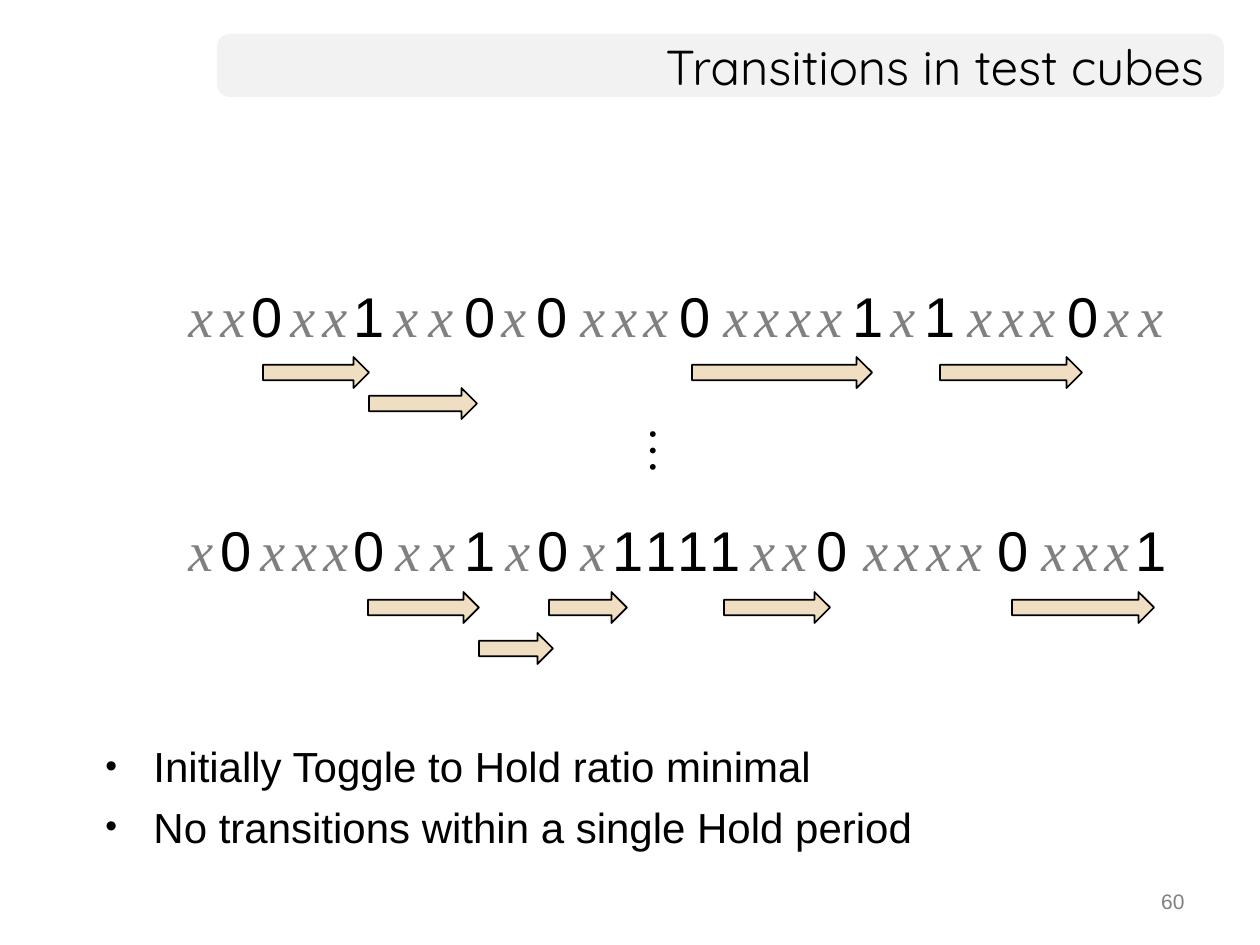
from dataclasses import dataclass

from lxml.etree import SubElement
from pptx import Presentation
from pptx.dml.color import RGBColor
from pptx.enum.shapes import MSO_SHAPE
from pptx.enum.text import MSO_ANCHOR, MSO_AUTO_SIZE, PP_ALIGN
from pptx.oxml.ns import qn
from pptx.util import Emu, Pt

SCALE = 914400 / 126


@dataclass(frozen=True)
class Theme:
    ink: RGBColor = RGBColor(0x00, 0x00, 0x00)
    muted: RGBColor = RGBColor(0x80, 0x80, 0x80)
    band: RGBColor = RGBColor(0xF2, 0xF2, 0xF2)
    arrow: RGBColor = RGBColor(0xEF, 0xDE, 0xC2)
    title_size: int = 28
    symbol_size: int = 32
    bullet_size: int = 24
    number_size: int = 12
    body_font: str = "Arial"
    title_font: str = "Quicksand"
    symbol_font: str = "Times New Roman"


THEME = Theme()

TITLE = "Transitions in test cubes"
PAGE_NUMBER = "60"
BULLETS = [
    "Initially Toggle to Hold ratio minimal",
    "No transitions within a single Hold period",
]
CUBES = [
    {
        "symbols": "xx0xx1xx0x0xxx0xxxx1x1xxx0xx",
        "lefts": [176, 208, 239, 278, 310, 341, 381, 416, 452, 489, 524, 568, 600, 631,
                  667, 711, 742, 774, 805, 840, 878, 912, 955, 987, 1018, 1055, 1092, 1126],
        "top": 275,
        "arrows": [(263, 357, 106), (369, 388, 108), (692, 357, 180), (940, 357, 142)],
    },
    {
        "symbols": "x0xxx0xx1x0x1111xx0xxxx0xxx1",
        "lefts": [176, 208, 248, 280, 311, 341, 383, 418, 452, 493, 525, 568, 600, 633,
                  665, 697, 738, 770, 804, 851, 882, 914, 945, 985, 1029, 1061, 1092, 1123],
        "top": 509,
        "arrows": [(368, 592, 111), (479, 633, 74), (549, 592, 78), (724, 592, 106),
                   (1012, 592, 142)],
    },
]
ARROW_HEIGHT = 31
SYMBOL_HEIGHT = 81
DIGIT_WIDTH = 54
FREE_WIDTH = 38

DIGIT_FORMAT = {"name": THEME.body_font, "size": Pt(THEME.symbol_size)}
FREE_FORMAT = {"name": THEME.symbol_font, "size": Pt(THEME.symbol_size), "italic": True}
TITLE_FORMAT = {"name": THEME.title_font, "size": Pt(THEME.title_size)}
ELLIPSIS_FORMAT = {"name": THEME.symbol_font, "size": Pt(THEME.title_size)}
NUMBER_FORMAT = {"name": THEME.body_font, "size": Pt(THEME.number_size)}
BULLET_FORMAT = {"name": THEME.body_font, "size": Pt(THEME.bullet_size)}


def px(value):
    return Emu(round(value * SCALE))


def apply_format(target, values):
    for name, value in values.items():
        setattr(target, name, value)


def add_text(shapes, box, lines, font_format, color=THEME.ink, wrap=True,
             align=PP_ALIGN.LEFT, anchor=MSO_ANCHOR.TOP, grow=False):
    text_box = shapes.add_textbox(*map(px, box))
    frame = text_box.text_frame
    apply_format(frame, {
        "word_wrap": wrap,
        "vertical_anchor": anchor,
        "auto_size": MSO_AUTO_SIZE.SHAPE_TO_FIT_TEXT if grow else MSO_AUTO_SIZE.NONE,
    })
    frame.text = "\n".join(lines)
    for paragraph in frame.paragraphs:
        paragraph.alignment = align
        for run in paragraph.runs:
            apply_format(run.font, font_format)
            run.font.color.rgb = color
    return text_box


def add_filled_shape(shapes, preset, box, fill, line=None):
    shape = shapes.add_shape(preset, *map(px, box))
    shape.shadow.inherit = False
    shape.fill.solid()
    shape.fill.fore_color.rgb = fill
    if line is None:
        shape.line.fill.background()
    else:
        shape.line.color.rgb = line
        shape.line.width = Pt(1)
    return shape


def add_cube(slide, cube):
    for left, top, width in cube["arrows"]:
        add_filled_shape(slide.shapes, MSO_SHAPE.RIGHT_ARROW,
                         (left, top, width, ARROW_HEIGHT), THEME.arrow, THEME.ink)
    group = slide.shapes.add_group_shape()
    for symbol, left in zip(cube["symbols"], cube["lefts"]):
        free = symbol == "x"
        width = FREE_WIDTH if free else DIGIT_WIDTH
        add_text(group.shapes, (left, cube["top"], width, SYMBOL_HEIGHT), [symbol],
                 FREE_FORMAT if free else DIGIT_FORMAT,
                 THEME.muted if free else THEME.ink, wrap=free, grow=True)


def add_bullets(slide):
    text_box = add_text(slide.shapes, (93, 734, 989, 142), BULLETS, BULLET_FORMAT)
    for index, paragraph in enumerate(text_box.text_frame.paragraphs):
        properties = paragraph._p.get_or_add_pPr()
        properties.set("marL", str(px(48)))
        properties.set("indent", str(px(-48)))
        SubElement(properties, qn("a:buSzPct"), val="80000")
        SubElement(properties, qn("a:buFont"), typeface=THEME.body_font)
        SubElement(properties, qn("a:buChar"), char="•")
        if index:
            paragraph.space_before = Pt(6)


def main():
    presentation = Presentation()
    presentation.slide_width = px(1260)
    presentation.slide_height = px(945)
    slide = presentation.slides.add_slide(presentation.slide_layouts[6])

    band = add_filled_shape(slide.shapes, MSO_SHAPE.ROUNDED_RECTANGLE,
                            (217, 34, 1007, 63), THEME.band)
    band.adjustments[0] = 0.21
    add_text(slide.shapes, (217, 34, 999, 63), [TITLE], TITLE_FORMAT,
             align=PP_ALIGN.RIGHT, anchor=MSO_ANCHOR.MIDDLE)
    add_text(slide.shapes, (903, 882, 294, 44), [PAGE_NUMBER], NUMBER_FORMAT,
             THEME.muted, align=PP_ALIGN.RIGHT)
    ellipsis = add_text(slide.shapes, (599, 415, 74, 72), ["…"], ELLIPSIS_FORMAT,
                        wrap=False, grow=True)
    ellipsis.rotation = 270
    for cube in CUBES:
        add_cube(slide, cube)
    add_bullets(slide)
    presentation.save("out.pptx")


if __name__ == "__main__":
    main()
